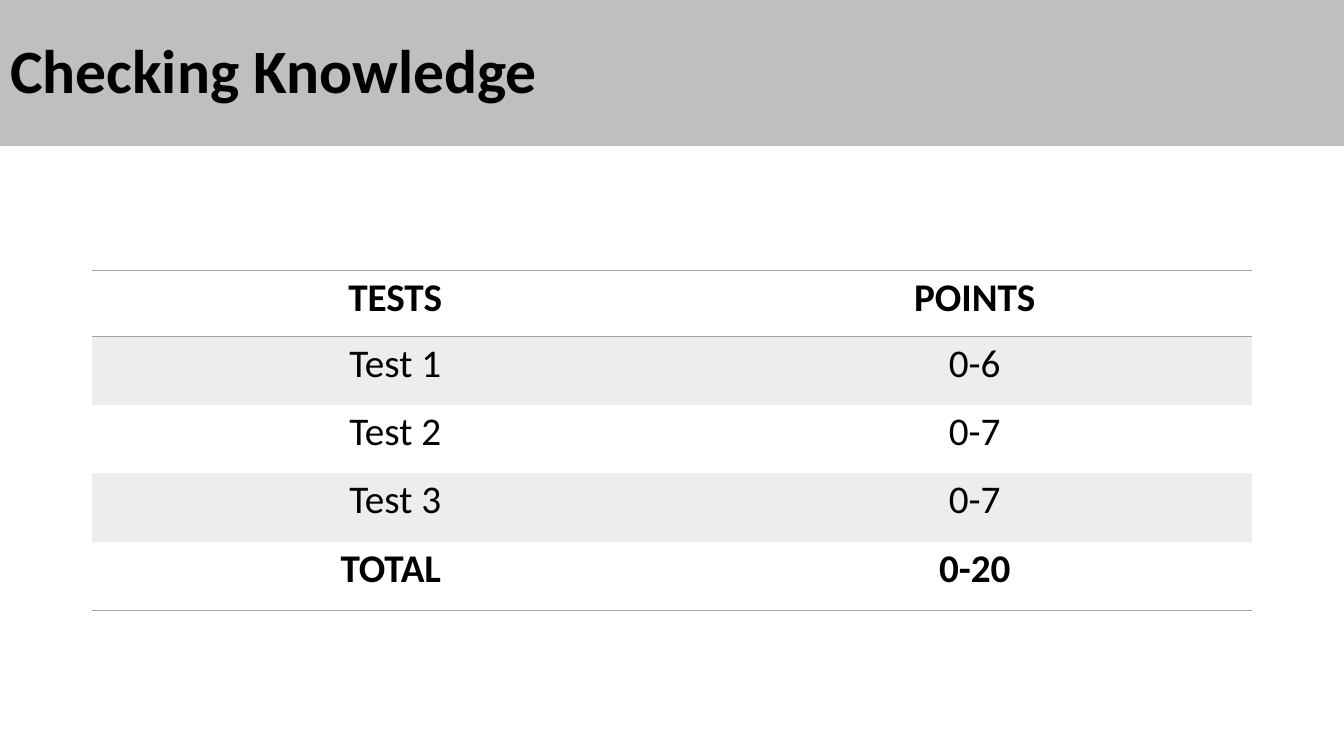
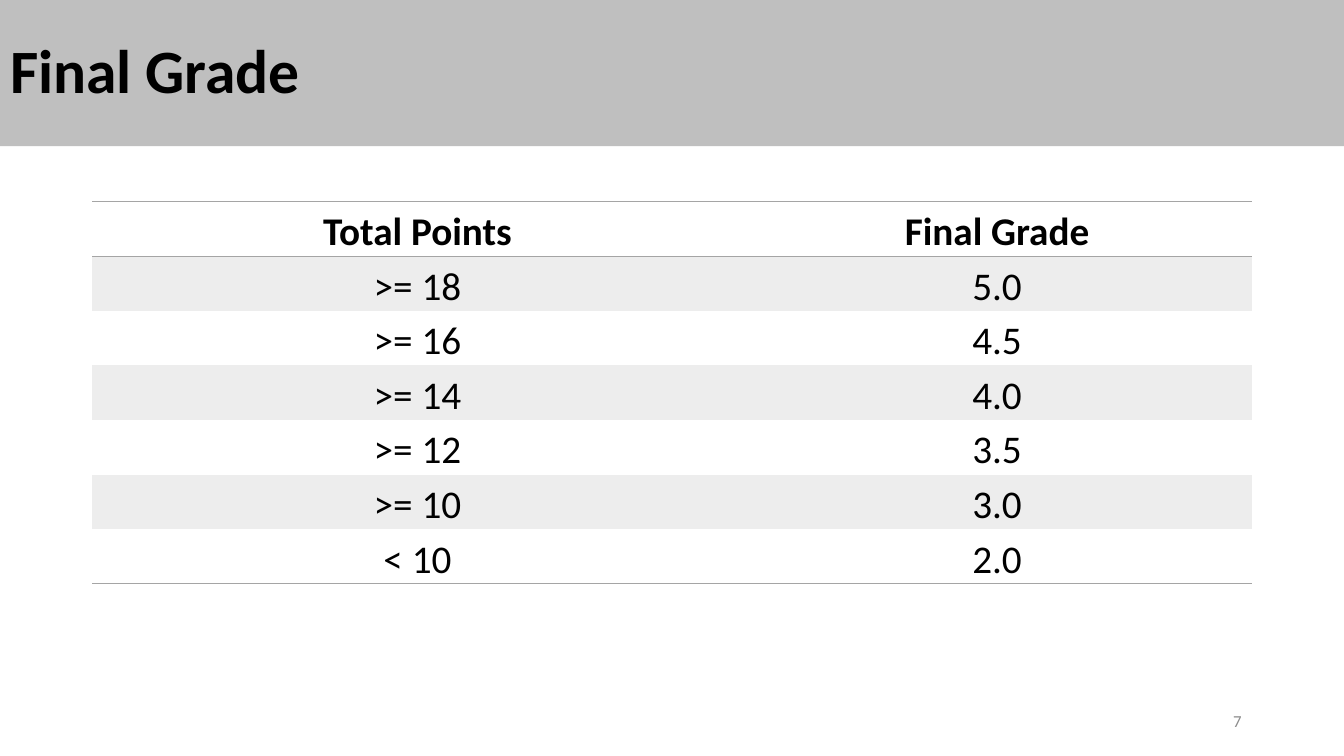
"""Build two course slides: the points for each test and the final grade scale."""
from lxml.etree import SubElement
from pptx import Presentation
from pptx.dml.color import RGBColor
from pptx.enum.text import MSO_ANCHOR, MSO_AUTO_SIZE, PP_ALIGN
from pptx.oxml.ns import qn
from pptx.util import Inches, Pt

BLACK = RGBColor(0x00, 0x00, 0x00)
BAND_GREY = RGBColor(0xBF, 0xBF, 0xBF)
RULE_GREY = RGBColor(0xA5, 0xA5, 0xA5)
STRIPE_GREY = RGBColor(0xED, 0xED, 0xED)
NUMBER_GREY = RGBColor(0x8C, 0x8C, 0x8C)
FONT = "Calibri"
GRID_COLUMNS, GRID_ROWS = 160, 90
TITLE_ONLY = 5
PLAIN_TABLE_STYLE = "{2D5ABB26-0587-4C30-8999-92F81FD0307C}"


class Deck:
    """Hold the shared style and the slide being built."""

    def __init__(self):
        """Open a widescreen presentation."""
        self.presentation = Presentation()
        self.presentation.slide_width = Inches(40 / 3)
        self.presentation.slide_height = Inches(7.5)
        self.slide = None

    def across(self, columns):
        """Turn grid columns into a length."""
        return round(self.presentation.slide_width * columns / GRID_COLUMNS)

    def down(self, rows):
        """Turn grid rows into a length."""
        return round(self.presentation.slide_height * rows / GRID_ROWS)

    def add_text(self, paragraph, text, size, color=BLACK, bold=False):
        """Add one styled run to a paragraph."""
        run = paragraph.add_run()
        run.text = text
        run.font.name = FONT
        run.font.size = Pt(size)
        run.font.bold = bold
        run.font.color.rgb = color

    def start_slide(self, heading):
        """Add a slide with its heading on the grey band."""
        layout = self.presentation.slide_layouts[TITLE_ONLY]
        self.slide = self.presentation.slides.add_slide(layout)
        band = self.slide.shapes.title
        band.left, band.top = 0, 0
        band.width, band.height = self.across(GRID_COLUMNS), self.down(17.4)
        band.fill.solid()
        band.fill.fore_color.rgb = BAND_GREY
        frame = band.text_frame
        frame.auto_size = MSO_AUTO_SIZE.NONE
        frame.vertical_anchor = MSO_ANCHOR.MIDDLE
        paragraph = frame.paragraphs[0]
        paragraph.alignment = PP_ALIGN.LEFT
        paragraph.line_spacing = 0.9
        self.add_text(paragraph, heading, 44, bold=True)

    def rule(self, cell, edges):
        """Draw thin rules on the given cell edges, top before bottom."""
        properties = cell._tc.get_or_add_tcPr()
        for position, edge in enumerate(edges):
            line = SubElement(properties, qn(f"a:{edge}"), w=str(Pt(1)))
            fill = SubElement(line, qn("a:solidFill"))
            SubElement(fill, qn("a:srgbClr"), val=str(RULE_GREY))
            properties.insert(position, line)

    def add_scores(self, entries, top, widths, heights, side, cell_top=0,
                   after=0, indent=None, total=False):
        """Add a striped table with rules around its header and at its foot."""
        last = len(entries) - 1
        table = self.slide.shapes.add_table(
            len(entries), len(widths), self.across(11), self.down(top),
            self.across(sum(widths)), self.down(sum(heights))).table
        table.first_row = table.horz_banding = False
        table._tbl.tblPr.find(qn("a:tableStyleId")).text = PLAIN_TABLE_STYLE
        for column, width in zip(table.columns, widths):
            column.width = self.across(width)
        for index, (row, height, entry) in enumerate(
                zip(table.rows, heights, entries)):
            row.height = self.down(height)
            edges = {0: ("lnT", "lnB"), last: ("lnB",)}.get(index, ())
            bold = index == 0 or (total and index == last)
            for cell, text in zip(row.cells, entry):
                cell.margin_left = cell.margin_right = self.across(side)
                cell.margin_top, cell.margin_bottom = self.down(cell_top), 0
                if index % 2:
                    cell.fill.solid()
                    cell.fill.fore_color.rgb = STRIPE_GREY
                else:
                    cell.fill.background()
                self.rule(cell, edges)
                paragraph = cell.text_frame.paragraphs[0]
                paragraph.alignment = PP_ALIGN.CENTER
                paragraph.line_spacing = 1.07
                paragraph.space_after = Pt(after)
                if indent:
                    properties = paragraph._p.get_or_add_pPr()
                    for key, columns in zip(("marL", "indent"), indent):
                        properties.set(key, str(self.across(columns)))
                self.add_text(paragraph, text, 28, bold=bold)

    def add_number(self, number):
        """Add the slide number at the lower right."""
        box = self.slide.shapes.add_textbox(
            self.across(113), self.down(83.4), self.across(36), self.down(4.8))
        frame = box.text_frame
        frame.word_wrap = True
        frame.vertical_anchor = MSO_ANCHOR.MIDDLE
        paragraph = frame.paragraphs[0]
        paragraph.alignment = PP_ALIGN.RIGHT
        self.add_text(paragraph, number, 12, NUMBER_GREY)


def main():
    """Build and save the deck."""
    deck = Deck()

    deck.start_slide("Checking Knowledge")
    tests = [("TESTS", "POINTS"), ("Test 1", "0-6"), ("Test 2", "0-7"),
             ("Test 3", "0-7"), ("TOTAL ", "0-20")]
    deck.add_scores(tests, top=32.25, widths=(72.1, 65.9),
                    heights=[7.8] + [8.15] * 4, side=2.7, after=8, total=True)

    deck.start_slide("Final Grade")
    grades = [("Total Points", "Final Grade"), (">= 18", "5.0"),
              (">= 16", "4.5"), (">= 14", "4.0"), (">= 12", "3.5"),
              (">= 10", "3.0"), ("< 10", "2.0")]
    deck.add_scores(grades, top=24, widths=(69.7, 68.3),
                    heights=[6.38] * len(grades), side=2.5, cell_top=0.4,
                    indent=(10.7, -3))
    deck.add_number("7")

    deck.presentation.save("out.pptx")


if __name__ == "__main__":
    main()
